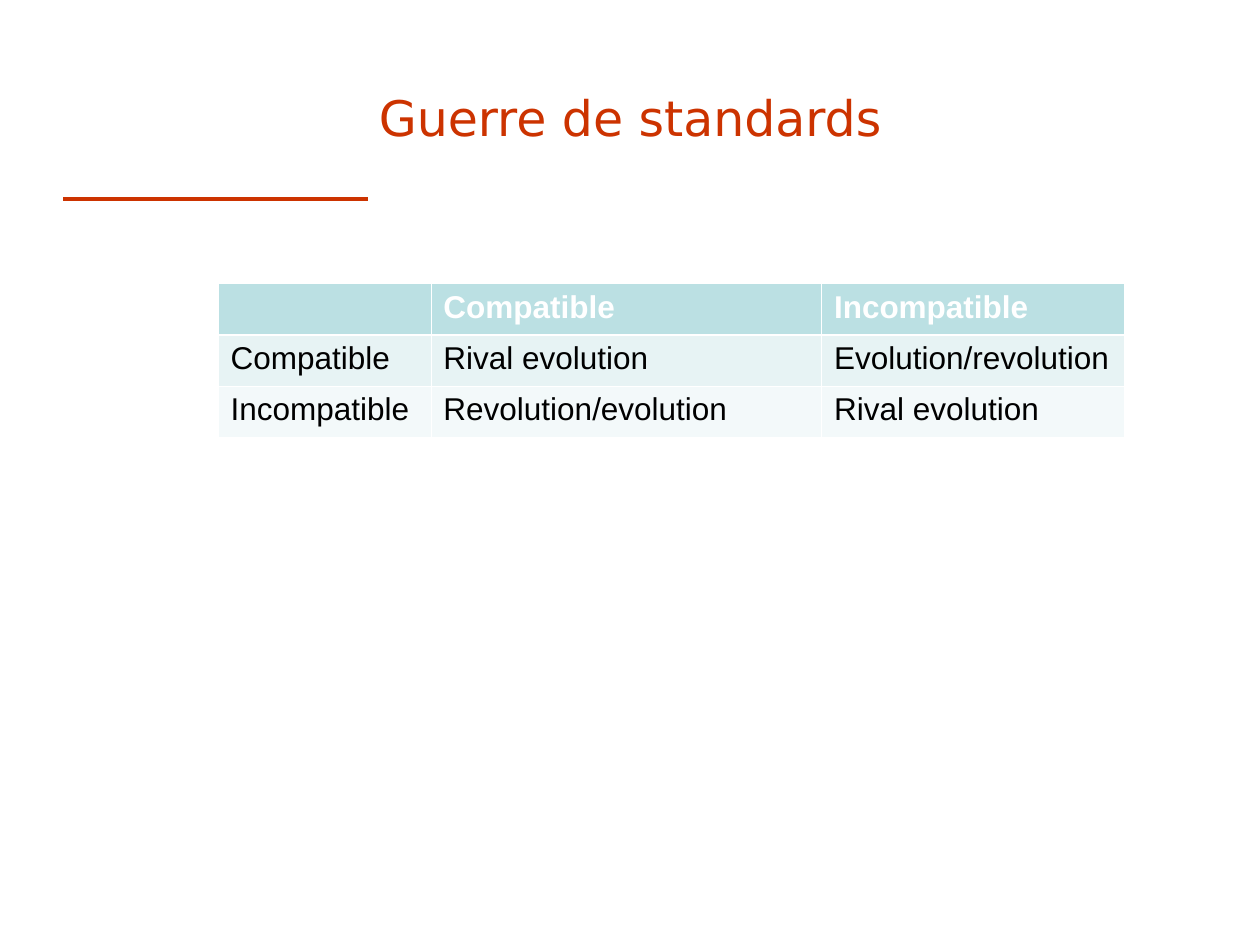
from lxml import etree
from pptx import Presentation
from pptx.dml.color import RGBColor
from pptx.enum.shapes import MSO_CONNECTOR
from pptx.enum.text import MSO_ANCHOR, PP_ALIGN
from pptx.oxml.ns import qn
from pptx.util import Inches, Pt

STRAIGHT = MSO_CONNECTOR.STRAIGHT
MIDDLE = MSO_ANCHOR.MIDDLE
CENTER = PP_ALIGN.CENTER
TITLE_ONLY = 5

ACCENT, WHITE, BLACK = "CC3300", "FFFFFF", "000000"
ROW_FILLS = ["BBE0E3", "E7F3F4", "F3F9FA"]
THIN, THICK = 0.45, 1.47
COLUMN_WIDTHS = [1.69, 3.1, 2.4]
STRATEGIES = [
    ["", "Compatible", "Incompatible"],
    ["Compatible", "Rival evolution", "Evolution/revolution"],
    ["Incompatible", "Revolution/evolution", "Rival evolution"],
]


def color(hex_string):
    """Return the colour for a hex string."""
    return RGBColor.from_string(hex_string)


def set_font(font, name, size, hex_string, bold=False):
    """Set the face, size, colour and weight of a font."""
    font.name, font.size, font.bold = name, Pt(size), bold
    font.color.rgb = color(hex_string)


def add_title(slide, left, top, width, height):
    """Place the centred slide title in its box."""
    title = slide.shapes.title
    title.left, title.top = Inches(left), Inches(top)
    title.width, title.height = Inches(width), Inches(height)
    title.text_frame.text = "Guerre de standards"
    title.text_frame.vertical_anchor = MIDDLE
    paragraph = title.text_frame.paragraphs[0]
    paragraph.alignment = CENTER
    set_font(paragraph.font, "DejaVu Sans", 28, ACCENT)


def add_rule(slide, left, top, width):
    """Draw the short horizontal rule under the title."""
    rule = slide.shapes.add_connector(
        STRAIGHT, Inches(left), Inches(top), Inches(left + width), Inches(top))
    rule.line.color.rgb = color(ACCENT)
    rule.line.width = Pt(2)
    etree.SubElement(rule._element.spPr, qn("a:effectLst"))


def set_borders(cell, top, bottom):
    """Give a cell white borders, with the top and bottom widths in points."""
    properties = cell._tc.get_or_add_tcPr()
    for side, width in (("L", THIN), ("R", THIN), ("T", top), ("B", bottom)):
        line = etree.SubElement(properties, qn(f"a:ln{side}"), w=str(Pt(width)))
        fill = etree.SubElement(line, qn("a:solidFill"))
        etree.SubElement(fill, qn("a:srgbClr"), val=WHITE)


def add_strategy_table(slide, left, top, width, height):
    """Place the table of standards strategies in its box."""
    table = slide.shapes.add_table(
        len(STRATEGIES), len(COLUMN_WIDTHS),
        Inches(left), Inches(top), Inches(width), Inches(height)).table
    for column, column_width in zip(table.columns, COLUMN_WIDTHS):
        column.width = Inches(column_width)
    for row_index, labels in enumerate(STRATEGIES):
        is_header = row_index == 0
        for column_index, label in enumerate(labels):
            cell = table.cell(row_index, column_index)
            set_borders(cell, THICK if row_index == 1 else THIN,
                        THICK if is_header else THIN)
            cell.fill.solid()
            cell.fill.fore_color.rgb = color(ROW_FILLS[row_index])
            cell.text = label
            set_font(cell.text_frame.paragraphs[0].font, "Arial", 18,
                     WHITE if is_header else BLACK, is_header)


def main():
    """Build the slide and save it."""
    presentation = Presentation()
    presentation.slide_width = Inches(10)
    presentation.slide_height = Inches(7.5)
    slide = presentation.slides.add_slide(presentation.slide_layouts[TITLE_ONLY])
    add_title(slide, 0.5, 0.3, 9, 1.25)
    add_rule(slide, 0.5, 1.58, 2.42)
    add_strategy_table(slide, 1.73, 2.25, sum(COLUMN_WIDTHS), 1.22)
    presentation.save("out.pptx")


if __name__ == "__main__":
    main()
